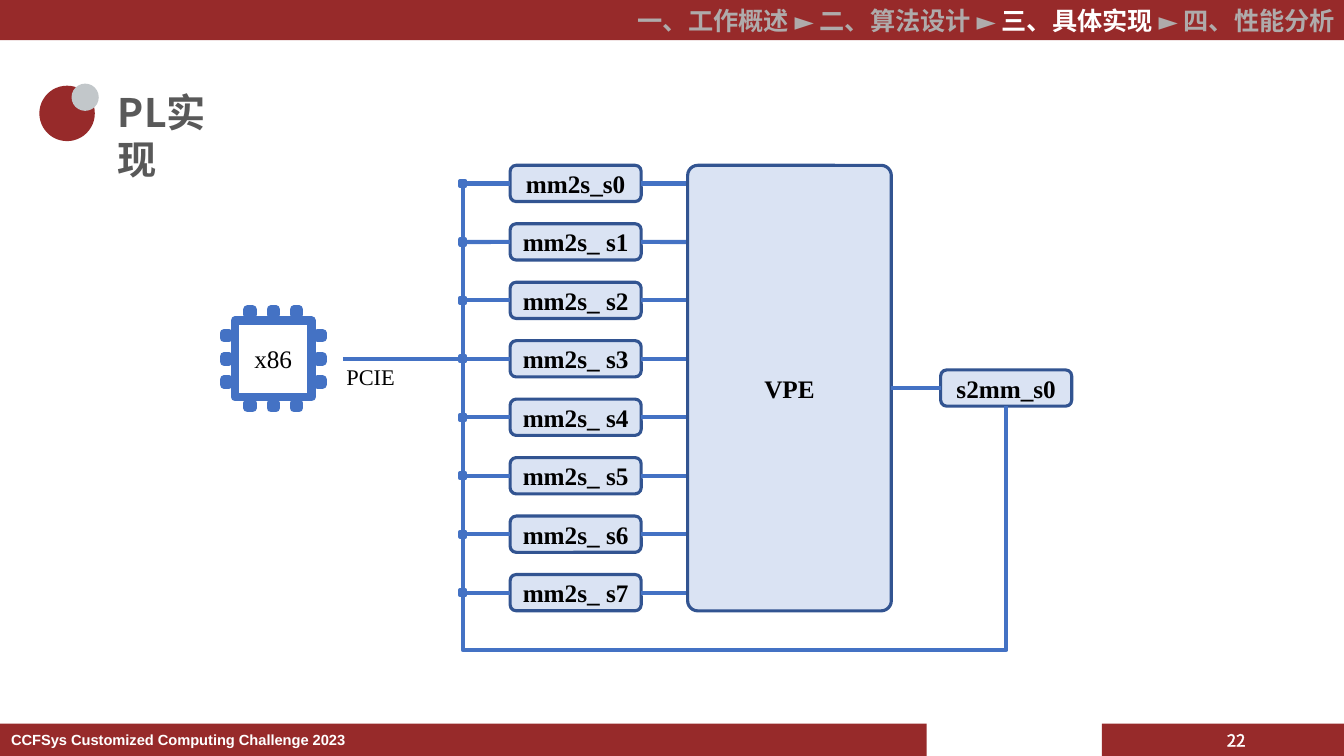
import pptx
import pptx.util
import pptx.dml.color
import pptx.enum.shapes
import pptx.enum.text
import pptx.oxml.ns
import lxml.etree

Inches, Pt = pptx.util.Inches, pptx.util.Pt
RGB = pptx.dml.color.RGBColor
KIND = pptx.enum.shapes.MSO_SHAPE
LINK = pptx.enum.shapes.MSO_CONNECTOR
ALIGN = pptx.enum.text.PP_ALIGN
ANCHOR = pptx.enum.text.MSO_ANCHOR
FIT = pptx.enum.text.MSO_AUTO_SIZE
qn = pptx.oxml.ns.qn

RED = RGB(0x97, 0x2A, 0x2A)
SILVER = RGB(0xC2, 0xC7, 0xCA)
GRAY = RGB(0xAF, 0xAB, 0xAB)
DARK = RGB(0x59, 0x59, 0x59)
WHITE = RGB(0xFF, 0xFF, 0xFF)
BLACK = RGB(0, 0, 0)
BLUE = RGB(0x44, 0x72, 0xC4)
NAVY = RGB(0x32, 0x54, 0x91)
PALE = RGB(0xDA, 0xE3, 0xF3)

SANS, SERIF = "Noto Sans CJK SC", "Times New Roman"
NAV = [("一、工作概述 ► 二、算法设计 ► ", GRAY), ("三、具体实现 ", WHITE), ("► 四、性能分析", GRAY)]
TITLE = "PL实现"
FOOT = "CCFSys Customized Computing Challenge 2023"
PAGE = "22"
LANES = ["mm2s_s0"] + [f"mm2s_ s{i}" for i in range(1, 8)]
BANDS = [(0, 0, 13.33, 0.4), (10.93, 7.18, 2.4, 0.32), (0, 7.18, 9.19, 0.32)]
DOTS = [((0.39, 0.85, 0.55, 0.55), RED), ((0.71, 0.83, 0.27, 0.27), SILVER)]

BOX_W, BOX_H = 1.3, 0.36
LANE_X, LANE_Y, PITCH = 5.06, 1.64, 0.58
BUS_X, FEED = 4.59, 3
ARRAY = (6.82, 1.64, 2.02, 4.42)
SINK = (9.33, 3.67, BOX_W, BOX_H)
CHIP_X, CHIP_Y, CHIP = 2.71, 3.56, 0.76
PIN, PIN_GAP, PIN_OFF = 0.05, 0.23, 0.465
LOOP_Y = 6.45

HEAD = dict(size=Pt(18), name=SANS, bold=True)
NAME = dict(size=Pt(28), name=SANS, bold=True)
SMALL = dict(size=Pt(12), name=SANS)
NOTE = dict(size=Pt(10.5), name="Arial", bold=True)
LABEL = dict(size=Pt(18), name=SERIF, bold=True)
CORE = dict(size=Pt(18), name=SERIF)
BUS = dict(size=Pt(16), name=SERIF)

deck = pptx.Presentation()
deck.slide_width, deck.slide_height = Inches(13.33), Inches(7.5)
slide = deck.slides.add_slide(deck.slide_layouts[5])
shapes = slide.shapes


def put(item, form):
    for key, value in form.items():
        setattr(item, key, value)


def write(shape, runs, form, align=ALIGN.CENTER, anchor=ANCHOR.MIDDLE, edge=0):
    frame = shape.text_frame
    put(frame, dict(word_wrap=True, auto_size=FIT.NONE, vertical_anchor=anchor))
    line = frame.paragraphs[0]
    line.alignment = align
    for text, color in runs:
        run = line.add_run()
        run.text = text
        put(run.font, form)
        run.font.color.rgb = color
        props = run.font._element
        east = lxml.etree.Element(qn("a:ea"), typeface=form["name"])
        props.find(qn("a:latin")).addnext(east)
        if edge:
            rim = lxml.etree.Element(qn("a:ln"), w=str(Pt(edge)))
            fill = lxml.etree.SubElement(rim, qn("a:solidFill"))
            lxml.etree.SubElement(fill, qn("a:srgbClr"), val=str(color))
            props.insert(0, rim)


def label(area, runs, form, **more):
    write(shapes.add_textbox(*map(Inches, area)), runs, form, **more)


def draw(kind, area, fill, line=None, width=0, alpha=100):
    shape = shapes.add_shape(kind, *map(Inches, area))
    shape.shadow.inherit = False
    shape.fill.solid()
    shape.fill.fore_color.rgb = fill
    if alpha < 100:
        tint = shape._element.spPr.find(qn("a:solidFill"))[0]
        lxml.etree.SubElement(tint, qn("a:alpha"), val=str(alpha * 1000))
    if line is None:
        shape.line.fill.background()
    else:
        shape.line.color.rgb = line
        shape.line.width = Pt(width)
    return shape


def block(area, text):
    shape = draw(KIND.ROUNDED_RECTANGLE, area, PALE, NAVY, 2.25)
    write(shape, [(text, BLACK)], LABEL)
    return shape


def square(x, y, size, fill, width):
    area = (x - size / 2, y - size / 2, size, size)
    return draw(KIND.RECTANGLE, area, fill, BLUE, width, 70)


def wire(x1, y1, x2, y2, kind=LINK.STRAIGHT):
    link = shapes.add_connector(kind, *map(Inches, (x1, y1, x2, y2)))
    link.line.color.rgb = BLUE
    link.line.width = Pt(3)
    lxml.etree.SubElement(link._element.spPr, qn("a:effectLst"))
    return link


title = shapes.title
put(title, dict(left=Inches(1.07), top=Inches(0.83), width=Inches(1.46), height=Inches(0.57)))
write(title, [(TITLE, DARK)], NAME, align=ALIGN.LEFT, anchor=ANCHOR.TOP)

for area in BANDS:
    draw(KIND.RECTANGLE, area, RED)
for area, color in DOTS:
    draw(KIND.OVAL, area, color)
label((4.91, 0, 8.43, 0.4), NAV, HEAD, align=ALIGN.RIGHT, anchor=ANCHOR.TOP)
label((11.82, 7.14, 0.88, 0.4), [(PAGE, WHITE)], SMALL, edge=0.75)
label((0, 7.2, 3.54, 0.28), [(FOOT, WHITE)], NOTE, anchor=ANCHOR.TOP)
label((3.15, 3.55, 1.05, 0.37), [("PCIE", BLACK)], BUS, anchor=ANCHOR.TOP)

core = square(CHIP_X, CHIP_Y, CHIP, WHITE, 6)
write(core, [("x86", BLACK)], CORE, edge=1)
for side in (-PIN_OFF, PIN_OFF):
    for step in (-PIN_GAP, 0, PIN_GAP):
        square(CHIP_X + step, CHIP_Y + side, PIN, WHITE, 6)
        square(CHIP_X + side, CHIP_Y + step, PIN, WHITE, 6)

mids = [LANE_Y + BOX_H / 2 + i * PITCH for i in range(len(LANES))]
for i, (text, mid) in enumerate(zip(LANES, mids)):
    lane = block((LANE_X, mid - BOX_H / 2, BOX_W, BOX_H), text)
    start = 3.4 if i == FEED else BUS_X
    wire(start, mid, LANE_X, mid).end_connect(lane, 1)
    wire(LANE_X + BOX_W, mid, ARRAY[0], mid).begin_connect(lane, 3)
    square(BUS_X, mid, PIN, BLUE, 3)
wire(BUS_X, mids[0], BUS_X, mids[-1])

engine = block(ARRAY, "VPE")
engine.adjustments[0] = 0.05
sink = block(SINK, "s2mm_s0")
mid = SINK[1] + BOX_H / 2
out = wire(ARRAY[0] + ARRAY[2], mid, SINK[0], mid)
out.begin_connect(engine, 3)
out.end_connect(sink, 1)

x1, y1 = BUS_X, mids[-1]
x2, y2 = SINK[0] + BOX_W / 2, SINK[1] + BOX_H
cx, cy = (x1 + x2) / 2, (y1 + y2) / 2
dx, dy = (y1 - y2) / 2, (x2 - x1) / 2
loop = wire(cx + dx, cy + dy, cx - dx, cy - dy, LINK.ELBOW)
props = loop._element.spPr
props.find(qn("a:xfrm")).set("rot", "5400000")
bend = round((y1 - LOOP_Y) / (y1 - y2) * 100000)
guides = props.find(qn("a:prstGeom")).find(qn("a:avLst"))
lxml.etree.SubElement(guides, qn("a:gd"), name="adj1", fmla=f"val {bend}")

deck.save("out.pptx")
